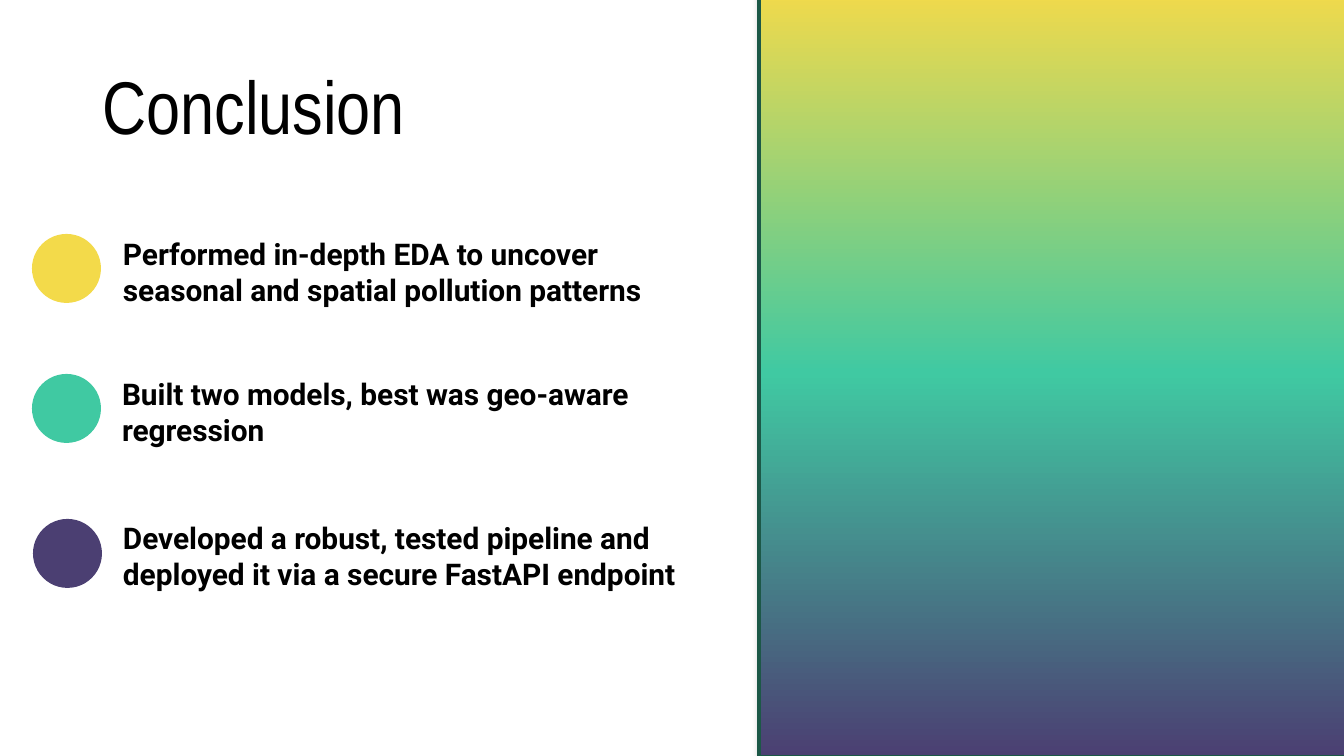
from copy import deepcopy

from lxml.etree import SubElement
from pptx import Presentation
from pptx.dml.color import RGBColor
from pptx.enum.shapes import MSO_SHAPE
from pptx.enum.text import MSO_ANCHOR, PP_ALIGN
from pptx.oxml.ns import qn
from pptx.util import Emu, Pt

EMU_PER_PX = 914400 / 134.4

YELLOW = RGBColor(0xF3, 0xDA, 0x4A)
GREEN = RGBColor(0x40, 0xC9, 0xA2)
PURPLE = RGBColor(0x4B, 0x3F, 0x72)
DARK_GREEN = RGBColor(0x1C, 0x58, 0x47)
BLACK = RGBColor(0, 0, 0)

DOT_SIZE = 69

# Dot colour, dot left and top, text box, vertical inset, wording
POINTS = [
    (YELLOW, (32, 234), (110, 223, 583, 79), 13,
     "Performed in-depth EDA to uncover seasonal and spatial pollution patterns"),
    (GREEN, (32, 374), (109, 363, 617, 79), 13,
     "Built two models, best was geo-aware regression"),
    (PURPLE, (33, 519), (110, 513, 599, 86), 7,
     "Developed a robust, tested pipeline and deployed it via a secure FastAPI endpoint"),
]


def px(length):
    return Emu(round(length * EMU_PER_PX))


def add_text(page, place, text, font_name, size, bold=False, inset=13,
             align=PP_ALIGN.LEFT, anchor=MSO_ANCHOR.TOP):
    box = page.shapes.add_textbox(*map(px, place))
    frame = box.text_frame
    frame.word_wrap = True
    frame.vertical_anchor = anchor
    frame.margin_left = frame.margin_right = px(13)
    frame.margin_top = frame.margin_bottom = px(inset)
    frame.text = text
    para = frame.paragraphs[0]
    para.alignment = align
    font = para.runs[0].font
    font.name = font_name
    font.size = Pt(size)
    font.bold = bold
    font.color.rgb = BLACK


def add_dot(page, left, top, colour):
    dot = page.shapes.add_shape(
        MSO_SHAPE.OVAL, px(left), px(top), px(DOT_SIZE), px(DOT_SIZE))
    dot.shadow.inherit = False
    dot.fill.solid()
    dot.fill.fore_color.rgb = colour
    dot.line.fill.background()


def add_shadow(shape):
    shape.shadow.inherit = False
    effects = shape._element.spPr.find(qn("a:effectLst"))
    shadow = SubElement(effects, qn("a:outerShdw"), blurRad=str(Pt(5)),
                        dist=str(Pt(3)), dir="2700000", rotWithShape="0")
    colour = SubElement(shadow, qn("a:srgbClr"), val=str(BLACK))
    SubElement(colour, qn("a:alpha"), val="40000")


def add_gradient_panel(page, place, colours):
    panel = page.shapes.add_shape(MSO_SHAPE.RECTANGLE, *map(px, place))
    panel.fill.gradient()
    panel.fill.gradient_angle = 270  # counter-clockwise: runs top to bottom

    # The default gradient has two stops; add the missing ones
    stop_list = panel._element.spPr.find(qn("a:gradFill")).find(qn("a:gsLst"))
    while len(stop_list) < len(colours):
        stop_list.append(deepcopy(stop_list[-1]))
    for index, (stop, colour) in enumerate(zip(panel.fill.gradient_stops, colours)):
        stop.position = index / (len(colours) - 1)
        stop.color.rgb = colour

    panel.line.color.rgb = DARK_GREEN
    panel.line.width = Pt(2)
    add_shadow(panel)


def main():
    deck = Presentation()
    deck.slide_width, deck.slide_height = px(1344), px(756)
    page = deck.slides.add_slide(deck.slide_layouts[6])

    # Title
    add_text(page, (-343, 94, 1210, 69), "Conclusion ", "Arial Narrow", 40,
             align=PP_ALIGN.CENTER, anchor=MSO_ANCHOR.BOTTOM)

    # Key points
    for colour, (left, top), place, inset, wording in POINTS:
        add_dot(page, left, top, colour)
        add_text(page, place, wording, "Roboto", 16, bold=True, inset=inset)

    # Side panel
    add_gradient_panel(page, (759, -12, 599, 769), [YELLOW, GREEN, PURPLE])

    deck.save("out.pptx")


if __name__ == "__main__":
    main()
